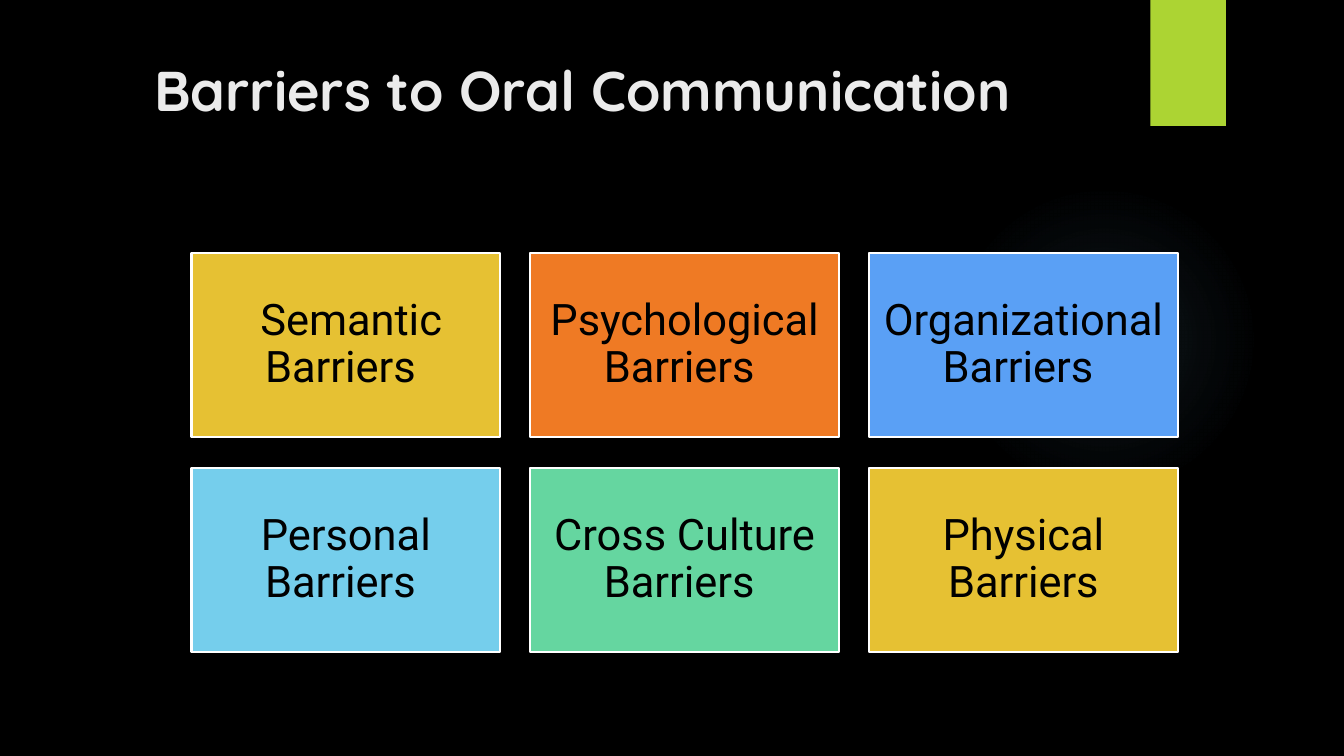
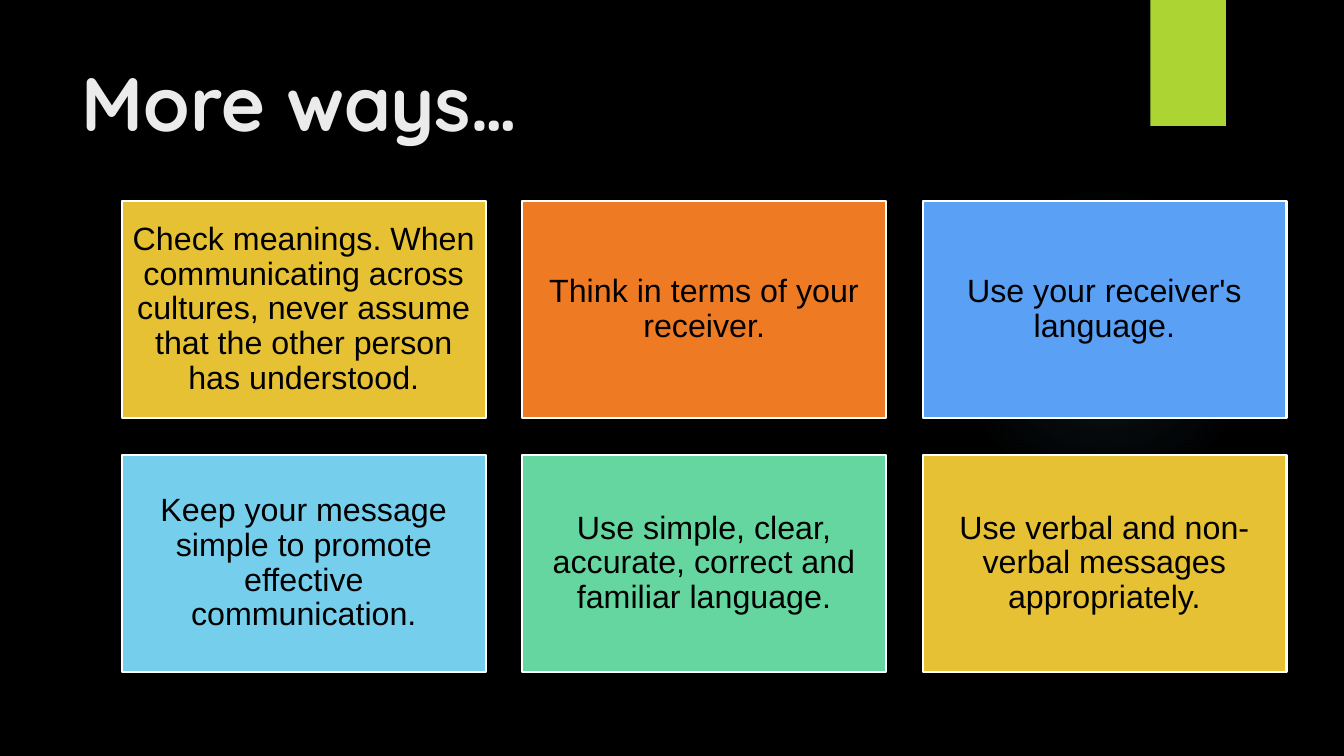
from dataclasses import dataclass
from itertools import cycle

from lxml import etree
from pptx import Presentation, util as u
from pptx.dml.color import RGBColor
from pptx.enum import shapes, text
from pptx.oxml import parse_xml
from pptx.oxml.ns import nsdecls
from pptx.slide import Slide, SlideLayout


@dataclass(frozen=True)
class Theme:
    background: str = "000000"
    heading: str = "EBEBEB"
    ink: str = "000000"
    outline: str = "FFFFFF"
    accent: str = "ACD433"
    glow: str = "7AC4F0"
    glow_stops: tuple[tuple[int, int], ...] = ((0, 7), (36, 6), (69, 0))
    tiles: tuple[str, ...] = ("E6C133", "EF7A24", "5AA0F5", "75CEEC", "65D6A0")
    heading_font: str = "Quicksand"
    outline_width: float = 1.5
    line_spacing: float = 0.9


@dataclass(frozen=True)
class Heading:
    words: str
    size: float
    height: float
    align: text.PP_ALIGN


@dataclass(frozen=True)
class TileGrid:
    left: float
    top: float
    width: float
    height: float
    gap: float
    inset: float
    font: str
    size: float
    labels: tuple[str, ...]
    columns: int = 3


@dataclass(frozen=True)
class Page:
    heading: Heading
    grid: TileGrid


THEME = Theme()

PAGES = (
    Page(
        Heading("Barriers to Oral Communication ", 40, 0.98, text.PP_ALIGN.CENTER),
        TileGrid(1.9, 2.51, 3.06, 1.83, 0.3, 0.13, "Roboto", 31, (
            " Semantic Barriers ",
            "Psychological Barriers ",
            "Organizational Barriers ",
            "Personal Barriers ",
            "Cross Culture Barriers ",
            "Physical Barriers",
        )),
    ),
    Page(
        Heading("More ways…", 54, 1.53, text.PP_ALIGN.LEFT),
        TileGrid(1.21, 1.99, 3.61, 2.16, 0.36, 0.1, "Arial", 23, (
            "Check meanings. When communicating across cultures, "
            "never assume that the other person has understood.",
            "Think in terms of your receiver.",
            "Use your receiver's language.",
            "Keep your message simple to promote effective communication.",
            "Use simple, clear, accurate, correct and familiar language.",
            "Use verbal and non-verbal messages appropriately.",
        )),
    ),
)


def color(value: str) -> RGBColor:
    return RGBColor.from_string(value)


def add_box(page: Slide, kind: shapes.MSO_SHAPE, left: float, top: float,
            width: float, height: float, fill: str):
    box = page.shapes.add_shape(
        kind, u.Inches(left), u.Inches(top), u.Inches(width), u.Inches(height))
    box.shadow.inherit = False
    box.fill.solid()
    box.fill.fore_color.rgb = color(fill)
    box.line.fill.background()
    return box


def add_span(para, words: str, font: str, size: float, ink: str,
             bold: bool = False) -> None:
    span = para.add_run()
    span.text = words
    span.font.name = font
    span.font.size = u.Pt(size)
    span.font.bold = bold
    span.font.color.rgb = color(ink)


def glow_gradient() -> etree.ElementBase:
    stops = "".join(
        f'<a:gs pos="{place * 1000}"><a:srgbClr val="{THEME.glow}">'
        f'<a:alpha val="{alpha * 1000}"/></a:srgbClr></a:gs>'
        for place, alpha in THEME.glow_stops)
    return parse_xml(
        f'<a:gradFill {nsdecls("a")} rotWithShape="1"><a:gsLst>{stops}</a:gsLst>'
        '<a:path path="circle"><a:fillToRect l="50000" t="50000" r="50000" b="50000"/>'
        '</a:path></a:gradFill>')


def decorate_layout(layout: SlideLayout, page: Slide) -> None:
    layout.background.fill.solid()
    layout.background.fill.fore_color.rgb = color(THEME.background)
    glow = add_box(page, shapes.MSO_SHAPE.OVAL, 9.41, 1.83, 3.08, 3.08, THEME.glow)
    solid = glow.element.spPr.find("{*}solidFill")
    solid.getparent().replace(solid, glow_gradient())
    band = add_box(page, shapes.MSO_SHAPE.RECTANGLE, 11.41, 0, 0.75, 1.25, THEME.accent)
    for index, shape in enumerate((glow, band), start=2):
        layout.shapes.element.insert(index, shape.element)


def set_heading(page: Slide, heading: Heading) -> None:
    title = page.shapes.title
    title.left, title.top = u.Inches(0.71), u.Inches(0.5)
    title.width, title.height = u.Inches(10.29), u.Inches(heading.height)
    frame = title.text_frame
    frame.auto_size = text.MSO_AUTO_SIZE.NONE
    frame.vertical_anchor = text.MSO_ANCHOR.TOP
    para = frame.paragraphs[0]
    para.alignment = heading.align
    add_span(para, heading.words, THEME.heading_font, heading.size, THEME.heading, True)


def add_tiles(page: Slide, grid: TileGrid) -> None:
    for index, (label, fill) in enumerate(zip(grid.labels, cycle(THEME.tiles))):
        row, column = divmod(index, grid.columns)
        tile = add_box(
            page, shapes.MSO_SHAPE.RECTANGLE,
            grid.left + column * (grid.width + grid.gap),
            grid.top + row * (grid.height + grid.gap),
            grid.width, grid.height, fill)
        tile.line.color.rgb = color(THEME.outline)
        tile.line.width = u.Pt(THEME.outline_width)
        frame = tile.text_frame
        frame.word_wrap = True
        frame.vertical_anchor = text.MSO_ANCHOR.MIDDLE
        frame.margin_left = frame.margin_right = u.Inches(grid.inset)
        frame.margin_top = frame.margin_bottom = u.Inches(grid.inset)
        para = frame.paragraphs[0]
        para.alignment = text.PP_ALIGN.CENTER
        para.line_spacing = THEME.line_spacing
        add_span(para, label, grid.font, grid.size, THEME.ink)


def main() -> None:
    deck = Presentation()
    deck.slide_width, deck.slide_height = u.Inches(13.33), u.Inches(7.5)
    layout = deck.slide_layouts.get_by_name("Title Only")
    slides = [deck.slides.add_slide(layout) for _ in PAGES]
    decorate_layout(layout, slides[0])
    for slide, page in zip(slides, PAGES):
        set_heading(slide, page.heading)
        add_tiles(slide, page.grid)
    deck.save("out.pptx")


if __name__ == "__main__":
    main()
